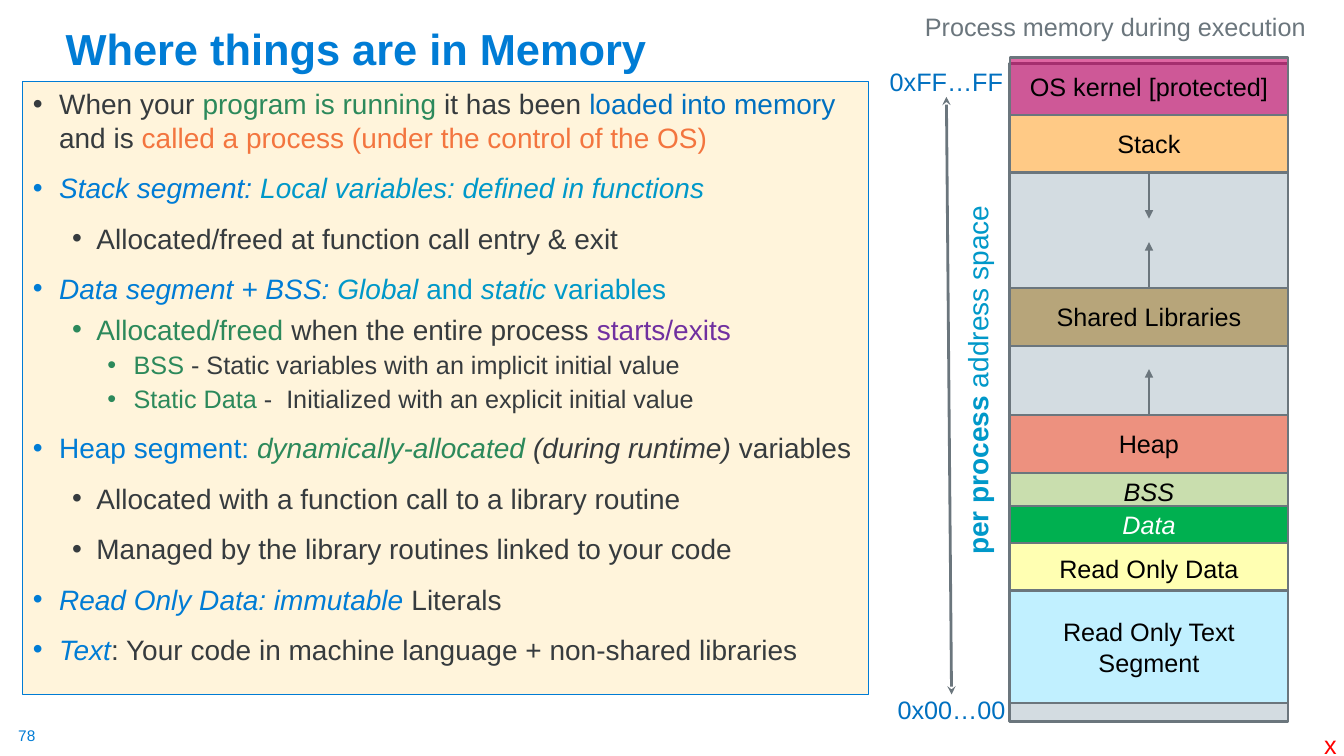
from lxml.etree import SubElement
from pptx import Presentation
from pptx.dml.color import RGBColor
from pptx.enum.shapes import MSO_CONNECTOR, MSO_SHAPE
from pptx.enum.text import MSO_ANCHOR, PP_ALIGN
from pptx.oxml.ns import qn
from pptx.util import Cm, Pt

COLORS = {
    "blue": "007CD5", "deep": "0070C0", "cyan": "0098C9", "green": "2C895B",
    "orange": "F3753F", "purple": "7030A0", "ink": "363B3E", "gray": "6B767D",
    "cream": "FFF4DB", "white": "FFFFFF", "black": "000000", "red": "FF0000",
    "free": "D3DCE1", "kernel": "CC0066", "stack": "FFCA86", "heap": "ED917F",
    "bss": "C9DEAE", "shared": "B7A57A", "constants": "FFFFB2", "code": "C1F0FF", "data": "00B050",
}
TITLE = "Where things are in Memory"
BULLETS = [
    (0, 12, [("When your ", "ink"), ("program is running ", "green"), ("it has been ", "ink"),
             ("loaded into memory ", "deep"), ("and is ", "ink"),
             ("called a process (under the control of the OS)", "orange")]),
    (0, 12, [("Stack segment: ", "blue", "i"), ("Local variables: defined in functions", "cyan", "i")]),
    (1, 12, [("Allocated/freed at function call entry & exit", "ink")]),
    (0, 12, [("Data segment + BSS: ", "blue", "i"), ("Global", "cyan", "i"), (" and ", "cyan"),
             ("static ", "cyan", "i"), ("variables", "cyan")]),
    (1, 5, [("Allocated/freed ", "green"), ("when the entire process ", "ink"), ("starts/exits", "purple")]),
    (2, 5, [("BSS", "green"), (" - Static variables with an implicit initial value", "ink")]),
    (2, 5, [("Static Data ", "green"), ("-  Initialized with an explicit initial value", "ink")]),
    (0, 12, [("Heap segment: ", "blue"), ("dynamically-allocated", "green", "i"),
             (" (during runtime) ", "ink", "i"), ("variables", "ink")]),
    (1, 12, [("Allocated with a function call to a library routine", "ink")]),
    (1, 12, [("Managed by the library routines linked to your code", "ink")]),
    (0, 12, [("Read Only Data: immutable ", "blue", "i"), ("Literals", "ink")]),
    (0, 12, [("Text", "blue", "i"), (": Your code in machine language + non-shared libraries", "ink")]),
]
LEVELS = [(0.66, 0.66, 20, 1), (1.6, 0.61, 20, 1), (2.54, 0.66, 18, 0.9)]
SEGMENTS = [
    ("OS kernel [protected]", "kernel", 1.45, 1.45, "black", ""),
    ("Stack", "stack", 2.9, 1.45, "black", ""),
    ("Heap", "heap", 10.46, 1.45, "black", ""),
    ("BSS", "bss", 11.91, 0.94, "black", "i"),
    ("Shared Libraries", "shared", 7.26, 1.45, "black", ""),
    ("Read Only Data", "constants", 13.67, 1.32, "black", ""),
    ("Read Only Text Segment", "code", 14.88, 2.84, "black", ""),
    ("Data", "data", 12.75, 0.94, "white", "i"),
]
GROWTH = [("Stack", 2, 1), ("Shared Libraries", 0, -1), ("Heap", 0, -1)]
LABELS = [
    ("78", (0.46, 18.31, 0.48, 0.48), 11, "blue", PP_ALIGN.LEFT, (0, 0), False),
    ("0xFF…FF", (22.07, 1.68, 3.56, 0.76), 18, "deep", PP_ALIGN.CENTER, (0.25, 0), True),
    ("0x00…00", (22.33, 17.5, 3.3, 0.76), 18, "deep", PP_ALIGN.CENTER, (0.25, 0), True),
    ("x", (33.12, 18.24, 0.84, 1.02), 18, "red", PP_ALIGN.LEFT, (0.25, 0.13), False),
    ("Process memory during execution", (23.06, 0.15, 10.21, 1.02), 18, "gray",
     PP_ALIGN.LEFT, (0.25, 0.13), False),
]
MEMORY_LEFT, MEMORY_WIDTH = 25.45, 7.01
GROWTH_LENGTH = 1.16


def color(name):
    return RGBColor.from_string(COLORS[name])


def add_run(paragraph, text, size, name, style=""):
    run = paragraph.add_run()
    run.text = text
    run.font.name = "Arial"
    run.font.size = Pt(size)
    run.font.color.rgb = color(name)
    run.font.bold = "b" in style
    run.font.italic = "i" in style


def set_insets(frame, side, top):
    frame.margin_left = frame.margin_right = Cm(side)
    frame.margin_top = frame.margin_bottom = Cm(top)


def add_box(slide, box, fill, line=None, width=0):
    shape = slide.shapes.add_shape(MSO_SHAPE.RECTANGLE, *map(Cm, box))
    shape.shadow.inherit = False
    shape.fill.solid()
    shape.fill.fore_color.rgb = color(fill)
    if line:
        shape.line.color.rgb = color(line)
        shape.line.width = Pt(width)
    else:
        shape.line.fill.background()
    shape.text_frame.word_wrap = True
    return shape


def add_arrow(slide, start, end, heads):
    arrow = slide.shapes.add_connector(MSO_CONNECTOR.STRAIGHT, *map(Cm, start + end))
    arrow.line.color.rgb = color("gray")
    arrow.line.width = Pt(2)
    for tag, kind in heads:
        SubElement(arrow.line._get_or_add_ln(), qn(tag), type=kind)
    SubElement(arrow._element.spPr, qn("a:effectLst"))
    return arrow


def add_bullets(slide):
    frame = add_box(slide, (0.58, 2.06, 21.31, 15.44), "cream", "blue", 0.75).text_frame
    frame.vertical_anchor = MSO_ANCHOR.TOP
    for index, (level, before, runs) in enumerate(BULLETS):
        paragraph = frame.add_paragraph() if index else frame.paragraphs[0]
        margin, hanging, size, spacing = LEVELS[level]
        properties = paragraph._p.get_or_add_pPr()
        properties.set("marL", str(Cm(margin)))
        properties.set("indent", str(-Cm(hanging)))
        SubElement(properties, qn("a:buFont"), typeface="Arial")
        SubElement(properties, qn("a:buChar"), char="•")
        paragraph.level = level
        paragraph.alignment = PP_ALIGN.LEFT
        paragraph.line_spacing = spacing
        paragraph.space_before = Pt(before if index else 0)
        for text, name, *style in runs:
            add_run(paragraph, text, size, name, "".join(style))


def add_memory(slide):
    add_box(slide, (MEMORY_LEFT, 1.6, MEMORY_WIDTH, 16.59), "free", "gray", 2)
    segments = {}
    for text, fill, top, height, ink, style in SEGMENTS:
        shape = add_box(slide, (MEMORY_LEFT, top, MEMORY_WIDTH, height), fill, "gray", 1.5)
        shape.text_frame.vertical_anchor = MSO_ANCHOR.MIDDLE
        paragraph = shape.text_frame.paragraphs[0]
        paragraph.alignment = PP_ALIGN.CENTER
        add_run(paragraph, text, 18, ink, style)
        segments[text] = shape, top, height
        if fill == "kernel":
            tint = shape.fill._xPr.find(qn("a:solidFill"))[0]
            SubElement(tint, qn("a:alpha"), val="60000")
    center = MEMORY_LEFT + MEMORY_WIDTH / 2
    for name, side, direction in GROWTH:
        shape, top, height = segments[name]
        start = top + height if side == 2 else top
        arrow = add_arrow(slide, (center, start), (center, start + direction * GROWTH_LENGTH),
                          [("a:tailEnd", "triangle")])
        arrow.begin_connect(shape, side)


def add_address_space(slide):
    add_arrow(slide, (23.85, 2.44), (23.98, 17.5), [("a:headEnd", "stealth"), ("a:tailEnd", "stealth")])
    shape = add_box(slide, (19.23, 9.02, 10.8, 1.12), "white")
    shape.rotation = 270
    set_insets(shape.text_frame, 0.13, 0.13)
    shape.text_frame.vertical_anchor = MSO_ANCHOR.TOP
    paragraph = shape.text_frame.paragraphs[0]
    paragraph.alignment = PP_ALIGN.CENTER
    add_run(paragraph, "per process ", 20, "cyan", "b")
    add_run(paragraph, "address space", 20, "cyan")


def add_labels(slide):
    for text, box, size, name, alignment, insets, wrap in LABELS:
        frame = slide.shapes.add_textbox(*map(Cm, box)).text_frame
        frame.word_wrap = wrap
        set_insets(frame, *insets)
        frame.paragraphs[0].alignment = alignment
        add_run(frame.paragraphs[0], text, size, name)


def main():
    presentation = Presentation()
    presentation.slide_width, presentation.slide_height = Cm(33.87), Cm(19.05)
    slide = presentation.slides.add_slide(presentation.slide_layouts[5])
    title = slide.shapes.title
    title.left, title.top, title.width, title.height = map(Cm, (1.4, 0.33, 29.21, 1.68))
    title.text_frame.vertical_anchor = MSO_ANCHOR.BOTTOM
    paragraph = title.text_frame.paragraphs[0]
    paragraph.alignment = PP_ALIGN.LEFT
    paragraph.line_spacing = 0.9
    add_run(paragraph, TITLE, 31, "blue", "b")
    add_bullets(slide)
    add_address_space(slide)
    add_memory(slide)
    add_labels(slide)
    presentation.save("out.pptx")


if __name__ == "__main__":
    main()
